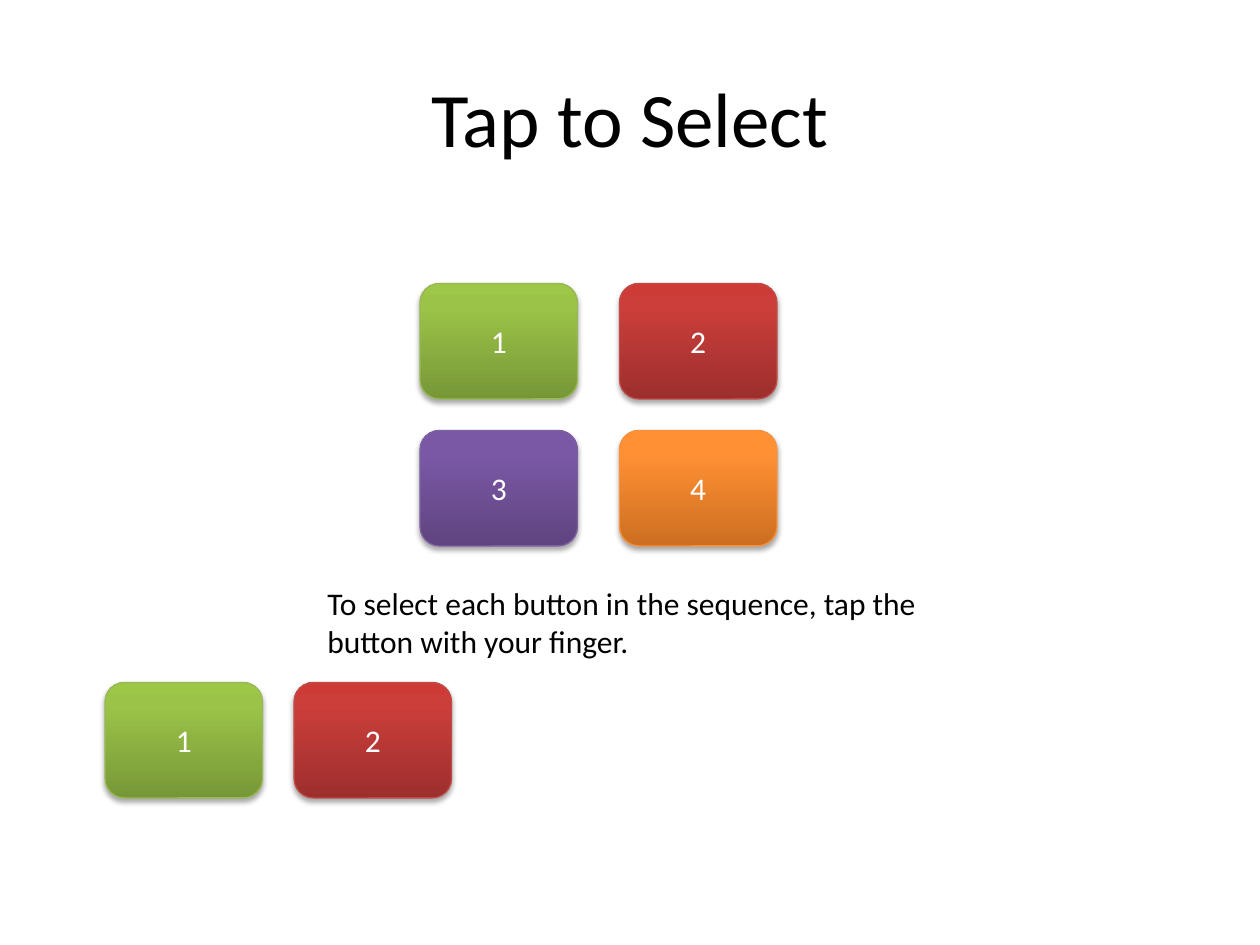
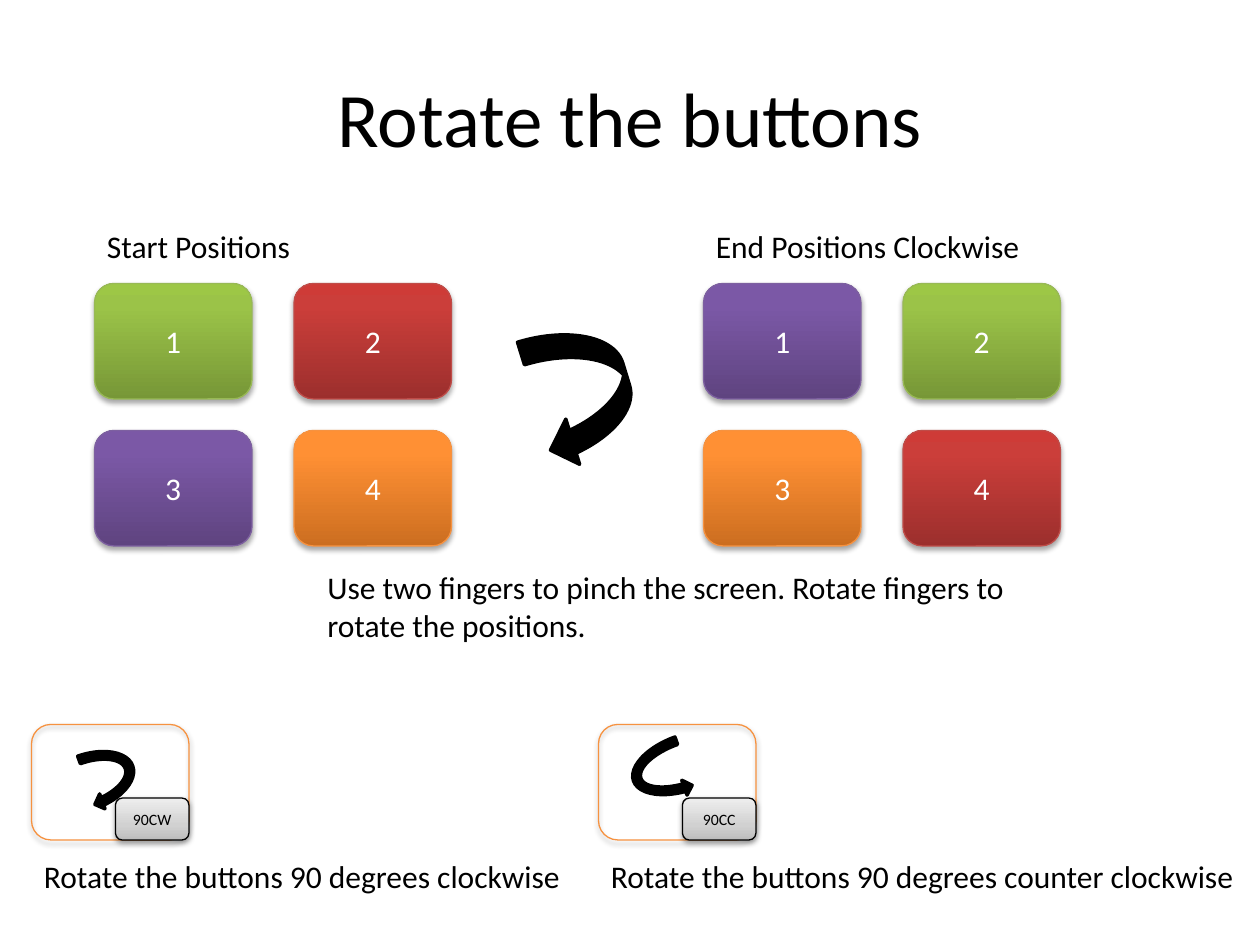
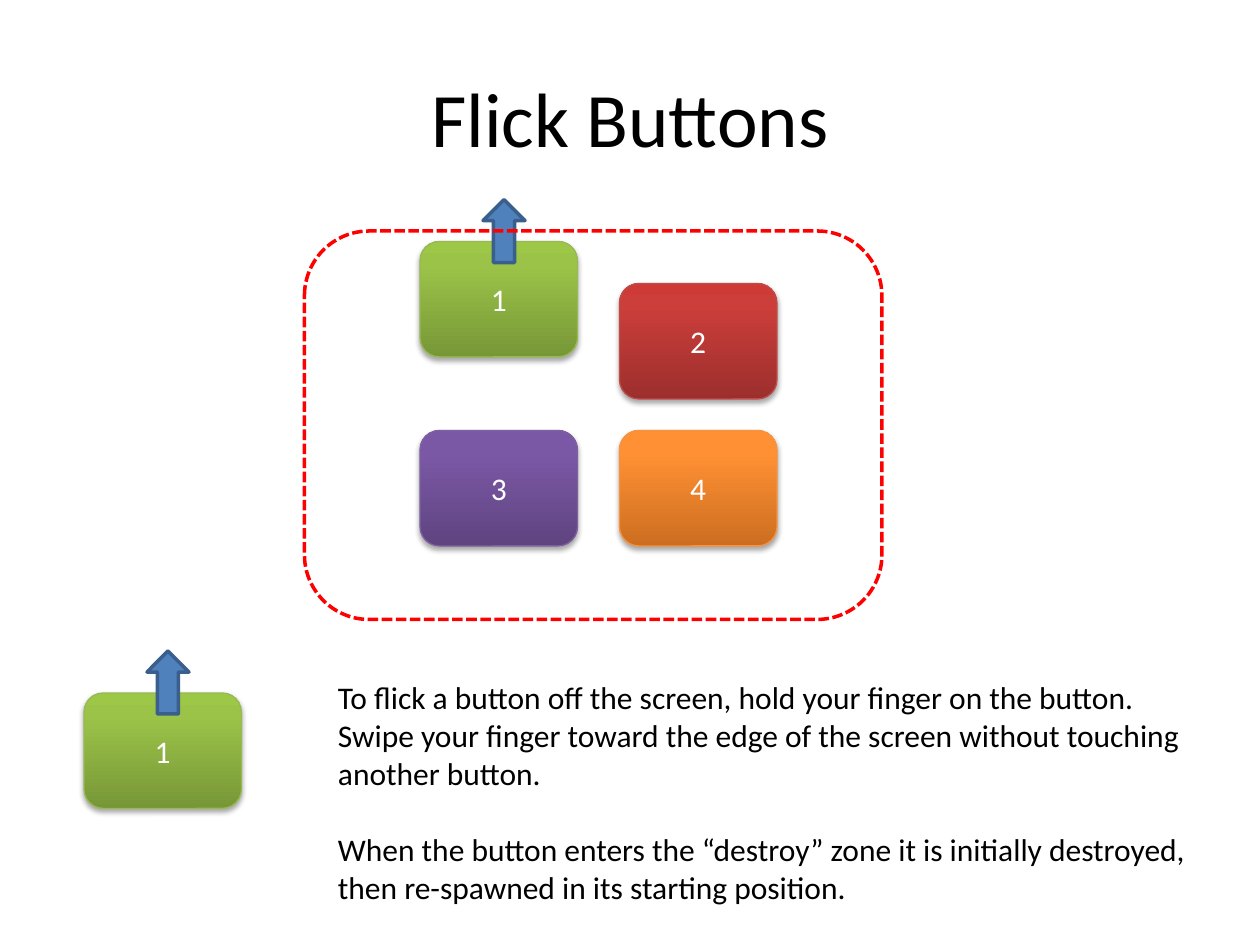
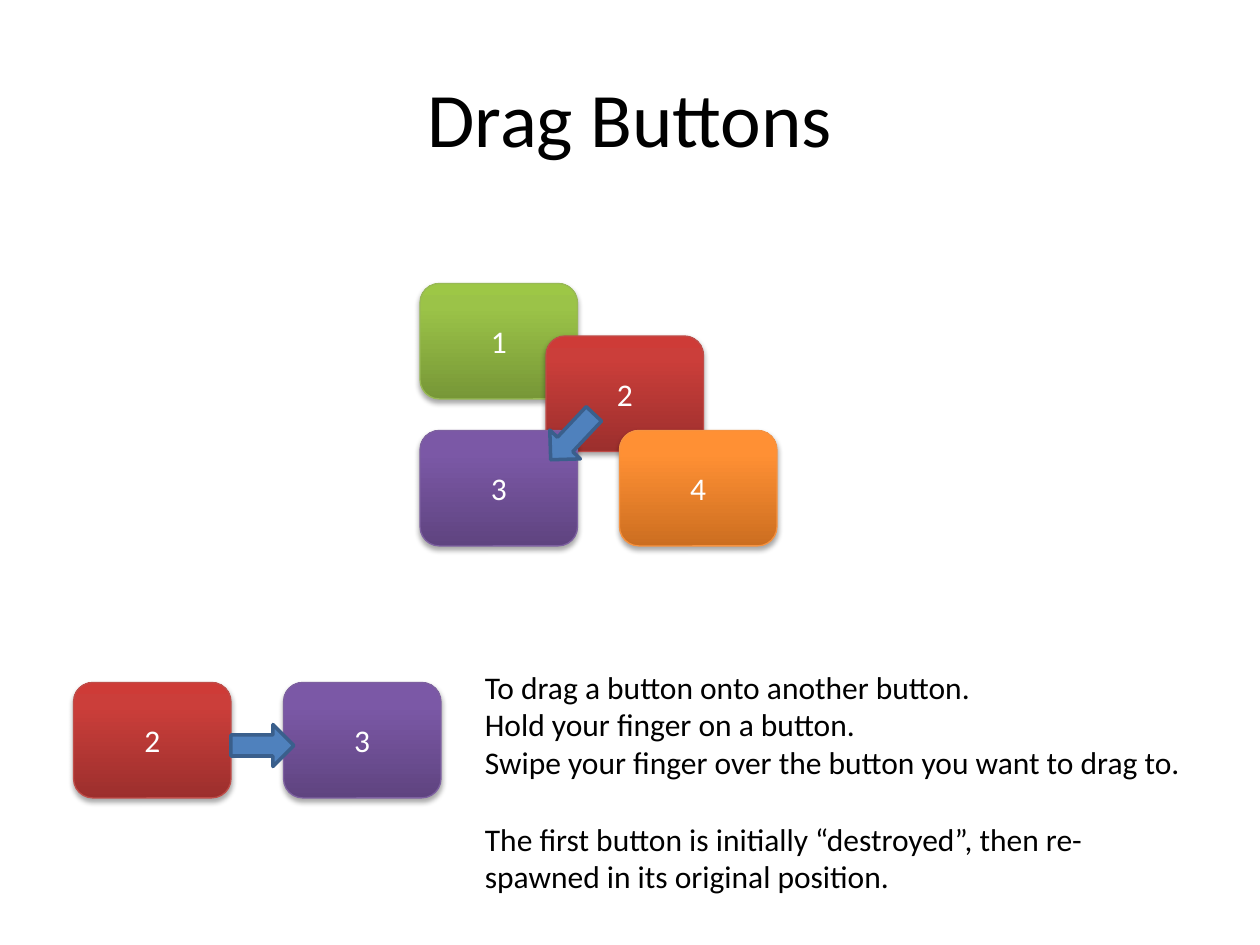
"""Build four slides that explain the touch gestures of a button game."""
from copy import deepcopy

from lxml import etree
from pptx import Presentation
from pptx.dml.color import RGBColor
from pptx.enum import dml, shapes, text
from pptx.oxml import ns
from pptx.util import Pt

FONT = "Calibri"
BLACK, WHITE, RED_ZONE = "000000", "FFFFFF", "FF0000"
ARROW_FILL, ARROW_LINE = "4F81BD", "3A5F8C"
SHAPE = shapes.MSO_SHAPE
SLIDE_WIDTH, SLIDE_HEIGHT = 720, 540

GREEN = (((0, "779737"), (0.8, "9BC348"), (1, "9DC746")), "98B955")
RED = (((0, "9C2F2D"), (0.8, "CB3E3A"), (1, "CE3B37")), "BF4C48")
PURPLE = (((0, "5F4480"), (0.8, "7B58A6"), (1, "7C57A8")), "7D60A0")
ORANGE = (((0, "CC6E20"), (0.8, "FF9034"), (1, "FF9136")), "F69240")
GREY = (((0, "BDBDBD"), (0.35, "D1D1D1"), (1, "EEEEEE")), BLACK)
HOLLOW = ((), ORANGE[1])
START = (GREEN, RED, PURPLE, ORANGE)
CLOCKWISE = (PURPLE, GREEN, ORANGE, RED)

BUTTON_SIZE = (90, 66)
TAG_SIZE = (42, 24)
COLUMN_STEP, ROW_STEP = 114, 84
GRID_TOP, GRID_LEFT = 162, 240
BLANK_LINE = 22


def colour(value):
    """Turn a hex string into a colour."""
    return RGBColor.from_string(value)


def format_paragraph(para, size, ink, align):
    """Set font, colour and alignment of a whole paragraph."""
    para.alignment = align
    para.font.name = FONT
    para.font.size = Pt(size)
    para.font.color.rgb = colour(ink)


def add_page(deck, title):
    """Add a title-only slide with its heading."""
    page = deck.slides.add_slide(deck.slide_layouts[5])
    box = page.shapes.title
    box.left, box.top, box.width, box.height = Pt(36), Pt(21.6), Pt(648), Pt(90)
    box.text_frame.text = title
    box.text_frame.vertical_anchor = text.MSO_ANCHOR.MIDDLE
    format_paragraph(box.text_frame.paragraphs[0], 44, BLACK, text.PP_ALIGN.CENTER)
    return page


def add_caption(page, left, top, width, height, lines, gap_before=None):
    """Add body text, with one line of space before the chosen paragraph."""
    box = page.shapes.add_textbox(Pt(left), Pt(top), Pt(width), Pt(height))
    frame = box.text_frame
    frame.word_wrap = True
    frame.auto_size = text.MSO_AUTO_SIZE.SHAPE_TO_FIT_TEXT
    frame.text = "\n".join(lines)
    for index, para in enumerate(frame.paragraphs):
        format_paragraph(para, 18, BLACK, text.PP_ALIGN.LEFT)
        if index == gap_before:
            para.space_before = Pt(BLANK_LINE)


def add_outlined(parent, kind, left, top, width, height, line, weight):
    """Add a preset shape with an outline and no inherited shadow."""
    shape = parent.shapes.add_shape(kind, Pt(left), Pt(top), Pt(width), Pt(height))
    shape.shadow.inherit = False
    shape.line.color.rgb = colour(line)
    shape.line.width = Pt(weight)
    return shape


def fill_gradient(shape, stops):
    """Fill a shape with a three-stop gradient that runs upwards."""
    shape.fill.gradient()
    shape.fill.gradient_angle = 90
    stop_list = shape.element.spPr.find(".//" + ns.qn("a:gsLst"))
    stop_list.append(deepcopy(stop_list[0]))
    for stop, (position, value) in zip(shape.fill.gradient_stops, stops):
        stop.position = position
        stop.color.rgb = colour(value)


def add_shadow(shape, distance, alpha):
    """Drop a soft black shadow straight below a shape."""
    effects = shape.element.spPr.find(ns.qn("a:effectLst"))
    shadow = etree.SubElement(
        effects, ns.qn("a:outerShdw"), blurRad=str(Pt(3.15)), dist=str(Pt(distance)),
        dir="5400000", rotWithShape="0")
    ink = etree.SubElement(shadow, ns.qn("a:srgbClr"), val=BLACK)
    etree.SubElement(ink, ns.qn("a:alpha"), val=str(alpha * 1000))


def add_key(parent, left, top, style, size=BUTTON_SIZE, distance=1.8, alpha=35):
    """Add a rounded key with a shadow, hollow when its style has no stops."""
    stops, outline = style
    shape = add_outlined(parent, SHAPE.ROUNDED_RECTANGLE, left, top, *size, outline, 0.75)
    if stops:
        fill_gradient(shape, stops)
    else:
        shape.fill.background()
    add_shadow(shape, distance, alpha)
    return shape


def add_label(shape, label, size, ink):
    """Write a centred label on a shape."""
    shape.text_frame.text = label
    shape.text_frame.vertical_anchor = text.MSO_ANCHOR.MIDDLE
    format_paragraph(shape.text_frame.paragraphs[0], size, ink, text.PP_ALIGN.CENTER)


def add_button(page, left, top, number, style):
    """Add a coloured button with its number."""
    add_label(add_key(page, left, top, style), str(number), 18, WHITE)


def add_grid(page, left, styles, moved=None):
    """Add four numbered buttons in two rows, some moved from their cells."""
    for index, style in enumerate(styles):
        row, column = divmod(index, 2)
        cell = (left + column * COLUMN_STEP, GRID_TOP + row * ROW_STEP)
        place = (moved or {}).get(index + 1, cell)
        add_button(page, *place, index + 1, style)


def add_turn(parent, kind, left, top, width, height, rotation, flipped=False):
    """Add a black curved arrow."""
    shape = add_outlined(parent, kind, left, top, width, height, BLACK, 2)
    shape.fill.solid()
    shape.fill.fore_color.rgb = colour(BLACK)
    shape.rotation = rotation
    if flipped:
        shape.element.spPr.find(ns.qn("a:xfrm")).set("flipV", "1")


def add_move_arrow(page, left, top, rotation=0):
    """Add a blue block arrow that shows a finger movement."""
    shape = add_outlined(page, SHAPE.RIGHT_ARROW, left, top, 36, 24, ARROW_LINE, 2)
    shape.fill.solid()
    shape.fill.fore_color.rgb = colour(ARROW_FILL)
    shape.rotation = rotation


def add_rotate_key(page, left, tag, caption, arrow_place, flipped):
    """Add a grouped rotation key and the caption below it."""
    top = 414
    group = page.shapes.add_group_shape()
    add_key(group, left, top, HOLLOW)
    add_turn(group, SHAPE.CIRCULAR_ARROW, *arrow_place, 70.4, flipped)
    corner = (left + BUTTON_SIZE[0] - TAG_SIZE[0], top + BUTTON_SIZE[1] - TAG_SIZE[1])
    add_label(add_key(group, *corner, GREY, TAG_SIZE, 1.6, 38), tag, 9, BLACK)
    add_caption(page, left, 486, min(666, SLIDE_WIDTH - left), 29, [caption])


def build_tap(deck):
    """Build the slide on tapping."""
    page = add_page(deck, "Tap to Select")
    add_grid(page, GRID_LEFT, START)
    add_caption(page, 180, 330, 360, 51, [
        "To select each button in the sequence, tap the button with your finger."])
    add_button(page, 60, 390, 1, GREEN)
    add_button(page, 168, 390, 2, RED)


def build_rotate(deck):
    """Build the slide on rotating."""
    page = add_page(deck, "Rotate the buttons")
    add_grid(page, 402, CLOCKWISE)
    add_grid(page, 54, START)
    add_caption(page, 54, 126, 126, 29, ["Start Positions"])
    add_caption(page, 402, 126, 216, 29, ["End Positions Clockwise"])
    add_turn(page, SHAPE.CURVED_DOWN_ARROW, 294, 198, 78, 54, 73)
    add_caption(page, 180, 321, 402, 51, [
        "Use two fingers to pinch the screen. Rotate fingers to rotate the positions."])
    add_rotate_key(page, 18, "90CW", "Rotate the buttons 90 degrees clockwise",
                   (31.7, 417, 36, 60), False)
    add_rotate_key(page, 342, "90CC", "Rotate the buttons 90 degrees counter clockwise",
                   (373, 403, 36, 66), True)


def build_flick(deck):
    """Build the slide on flicking."""
    page = add_page(deck, "Flick Buttons")
    add_grid(page, GRID_LEFT, START, {1: (GRID_LEFT, 138)})
    add_button(page, 48, 396, 1, GREEN)
    add_caption(page, 186, 384, 522, 138, [
        "To flick a button off the screen, hold your finger on the button.",
        "Swipe your finger toward the edge of the screen without touching another button.",
        "When the button enters the “destroy” zone it is initially destroyed, "
        "then re-spawned in its starting position."], gap_before=2)
    add_move_arrow(page, 270, 120, 270)
    add_move_arrow(page, 78, 378, 270)
    zone = add_outlined(page, SHAPE.ROUNDED_RECTANGLE, 174, 132, 330, 222, RED_ZONE, 2)
    zone.fill.background()
    zone.line.dash_style = dml.MSO_LINE.SQUARE_DOT


def build_drag(deck):
    """Build the slide on dragging."""
    page = add_page(deck, "Drag Buttons")
    add_grid(page, GRID_LEFT, START, {2: (312, 192)})
    add_button(page, 42, 390, 2, RED)
    add_button(page, 162, 390, 3, PURPLE)
    add_caption(page, 270, 378, 420, 138, [
        "To drag a button onto another button.",
        "Hold your finger on a button.",
        "Swipe your finger over the button you want to drag to.",
        "The first button is initially “destroyed”, then re-spawned in its "
        "original position."], gap_before=3)
    add_move_arrow(page, 132, 414)
    add_move_arrow(page, 309, 237.6, 133.3)


def main():
    """Build and save the deck."""
    deck = Presentation()
    deck.slide_width, deck.slide_height = Pt(SLIDE_WIDTH), Pt(SLIDE_HEIGHT)
    for build in (build_tap, build_rotate, build_flick, build_drag):
        build(deck)
    deck.save("out.pptx")


main()
